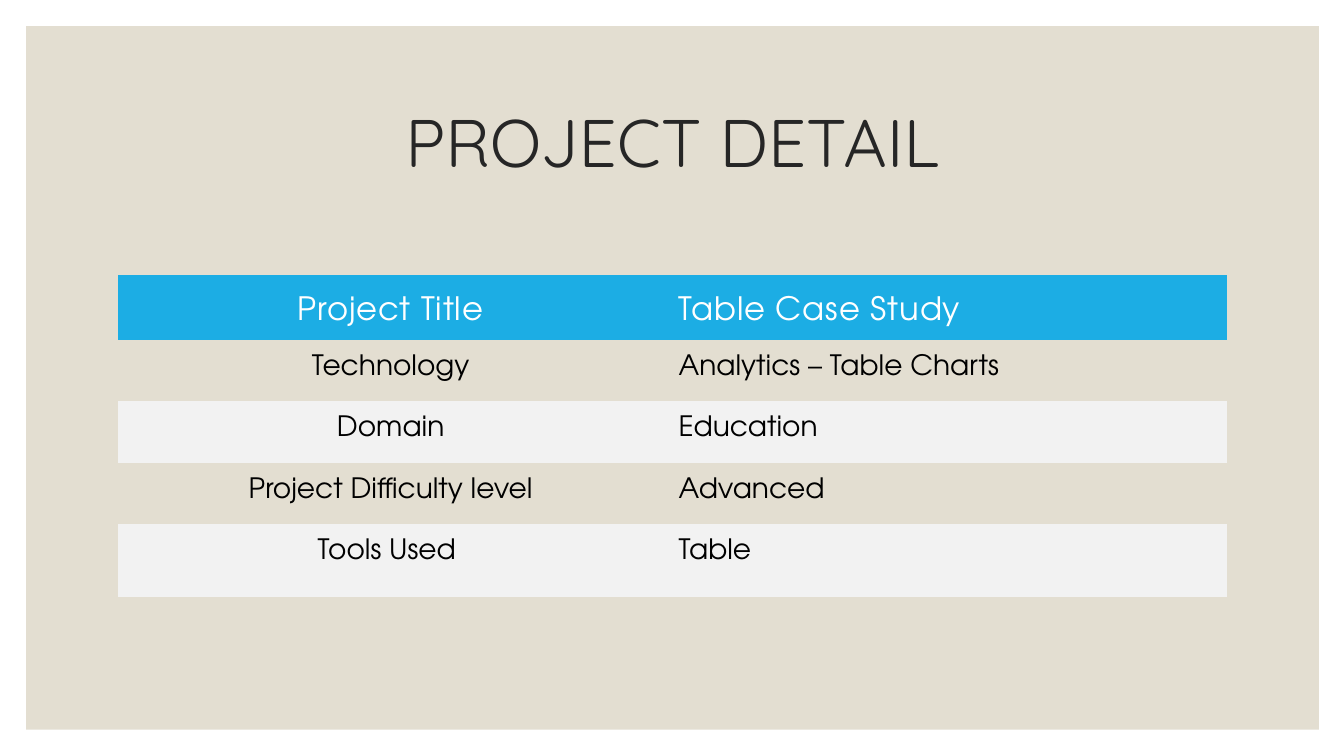
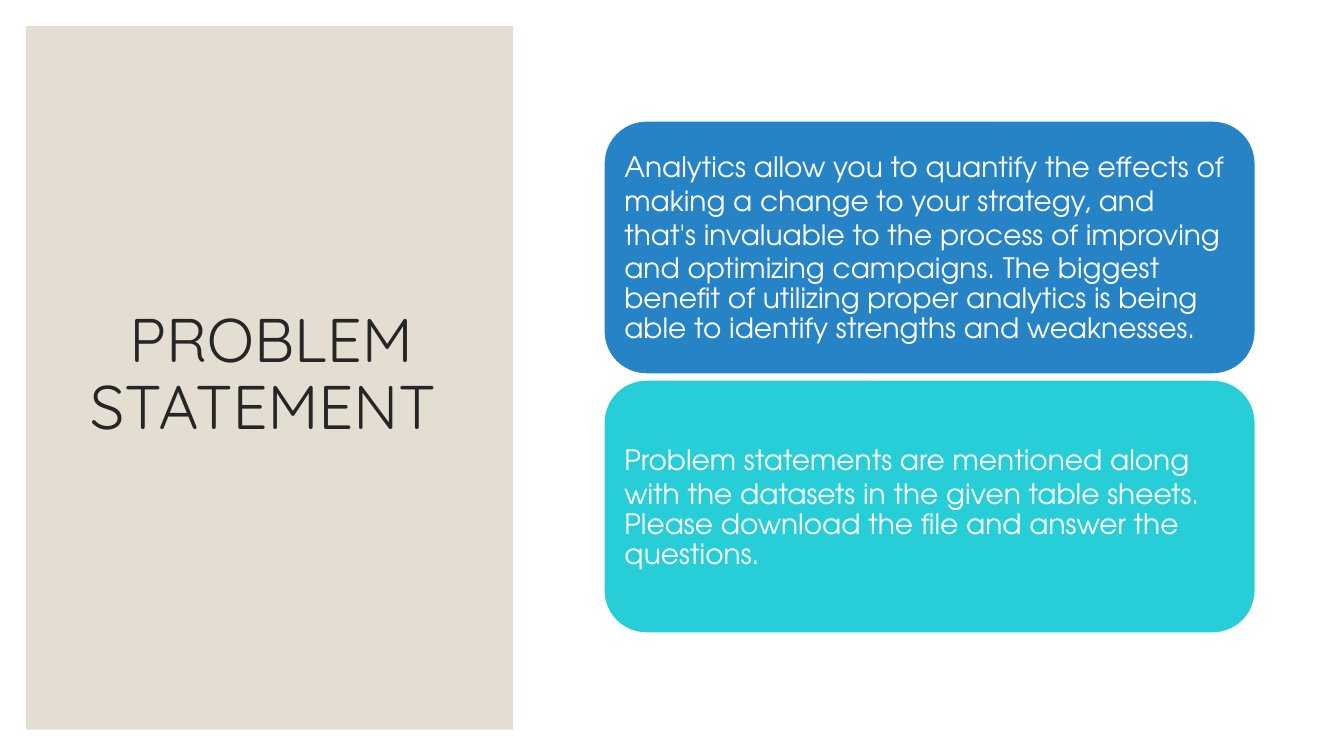
from pptx import Presentation
from pptx.dml.color import RGBColor
from pptx.enum.shapes import MSO_SHAPE
from pptx.enum.text import MSO_ANCHOR, PP_ALIGN
from pptx.util import Emu, Pt

# Shared style: 100 px to the inch
EMU_PER_PX = 9144
TITLE_FONT = "Quicksand"
BODY_FONT = "TeX Gyre Adventor"
NO_GRID_STYLE = "{2D5ABB26-0587-4C30-8999-92F81FD0307C}"

WHITE = RGBColor(0xFF, 0xFF, 0xFF)
BLACK = RGBColor(0x00, 0x00, 0x00)
CHARCOAL = RGBColor(0x26, 0x26, 0x26)
SAND = RGBColor(0xE3, 0xDE, 0xD1)
SKY = RGBColor(0x1C, 0xAD, 0xE4)
PALE_GREY = RGBColor(0xF2, 0xF2, 0xF2)
BLUE = RGBColor(0x26, 0x83, 0xC6)
TURQUOISE = RGBColor(0x27, 0xCE, 0xD7)

MARGIN = 26
PANEL_HEIGHT = 698

PROJECT_ROWS = [
    ("Project Title", "Table Case Study"),
    ("Technology", "Analytics – Table Charts"),
    ("Domain", "Education"),
    ("Project Difficulty level", "Advanced"),
    ("Tools Used ", "Table"),
]
COLUMN_WIDTHS = (541, 559)
ROW_HEIGHTS = (64, 61, 61, 61, 72)

STATEMENTS = [
    (BLUE, [
        "Analytics allow you to quantify the effects of making a change "
        "to your strategy, and",
        "that's invaluable to the process of improving and optimizing "
        "campaigns. The biggest",
        "benefit of utilizing proper analytics is being able to identify "
        "strengths and weaknesses.",
    ]),
    (TURQUOISE, [
        "Problem statements are mentioned along with the datasets in the "
        "given table sheets.",
        "Please download the file and answer the questions.",
    ]),
]
CARD_HEIGHT = 251
CARD_STEP = 257


def px(value):
    return Emu(value * EMU_PER_PX)


def area(*lengths):
    return [px(length) for length in lengths]


def set_insets(holder, left, top, right, bottom):
    holder.margin_left, holder.margin_top = px(left), px(top)
    holder.margin_right, holder.margin_bottom = px(right), px(bottom)


def write(para, text, size, color, font=BODY_FONT, align=PP_ALIGN.LEFT,
          line_spacing=1.0, tracking=0):
    para.alignment = align
    para.line_spacing = line_spacing
    span = para.add_run()
    span.text = text
    span.font.name = font
    span.font.size = Pt(size)
    span.font.color.rgb = color
    if tracking:
        span.font._element.set("spc", str(tracking))


def add_block(page, kind, place, fill):
    block = page.shapes.add_shape(kind, *area(*place))
    block.shadow.inherit = False
    block.fill.solid()
    block.fill.fore_color.rgb = fill
    block.line.fill.background()
    return block


def add_page(deck, panel_width, title, title_place, title_size):
    """Blank page with the sand panel and a centred title."""
    page = deck.slides.add_slide(deck.slide_layouts[6])
    add_block(page, MSO_SHAPE.RECTANGLE,
              (MARGIN, MARGIN, panel_width, PANEL_HEIGHT), SAND)
    frame = page.shapes.add_textbox(*area(*title_place)).text_frame
    frame.word_wrap = True
    frame.vertical_anchor = MSO_ANCHOR.MIDDLE
    write(frame.paragraphs[0], title, title_size, CHARCOAL, TITLE_FONT,
          PP_ALIGN.CENTER, 0.9)
    return page


def fill_cell(cell, text, row, column):
    set_insets(cell, 15, 15, 15, 7)
    align = PP_ALIGN.LEFT if column else PP_ALIGN.CENTER
    para = cell.text_frame.paragraphs[0]
    if row == 0:
        cell.vertical_anchor = MSO_ANCHOR.MIDDLE
        write(para, text, 23, WHITE, align=align, tracking=60)
    else:
        write(para, text, 20, BLACK, align=align)
    # Header in blue, then every second row in grey
    if row % 2:
        cell.fill.background()
    else:
        cell.fill.solid()
        cell.fill.fore_color.rgb = PALE_GREY if row else SKY


def add_project_table(page):
    table = page.shapes.add_table(
        len(PROJECT_ROWS), len(COLUMN_WIDTHS),
        *area(117, 273, sum(COLUMN_WIDTHS), sum(ROW_HEIGHTS))).table
    table.horz_banding = False
    table._tbl.tblPr[0].text = NO_GRID_STYLE
    for column, width in zip(table.columns, COLUMN_WIDTHS):
        column.width = px(width)
    for row, height in zip(table.rows, ROW_HEIGHTS):
        row.height = px(height)
    for row, texts in enumerate(PROJECT_ROWS):
        for column, text in enumerate(texts):
            fill_cell(table.cell(row, column), text, row, column)


def add_card(page, top, fill, lines):
    card = add_block(page, MSO_SHAPE.ROUNDED_RECTANGLE,
                     (599, top, 646, CARD_HEIGHT), fill)
    card.line.color.rgb = WHITE
    card.line.width = Pt(1)
    frame = card.text_frame
    frame.word_wrap = True
    frame.vertical_anchor = MSO_ANCHOR.MIDDLE
    set_insets(frame, 8, 8, 8, 8)
    for index, line in enumerate(lines):
        para = frame.add_paragraph() if index else frame.paragraphs[0]
        is_last = index == len(lines) - 1
        write(para, line, 20, WHITE, line_spacing=0.9 if is_last else 1.0)


def main():
    deck = Presentation()
    deck.slide_width, deck.slide_height = area(1333, 750)

    # Project detail
    page = add_page(deck, 1282, "PROJECT DETAIL", (117, 70, 1100, 150), 48)
    add_project_table(page)

    # Problem statement
    page = add_page(deck, 483, "PROBLEM STATEMENT ", (63, 61, 412, 624), 44)
    for index, (fill, lines) in enumerate(STATEMENTS):
        add_card(page, 120 + index * CARD_STEP, fill, lines)

    deck.save("out.pptx")


if __name__ == "__main__":
    main()
